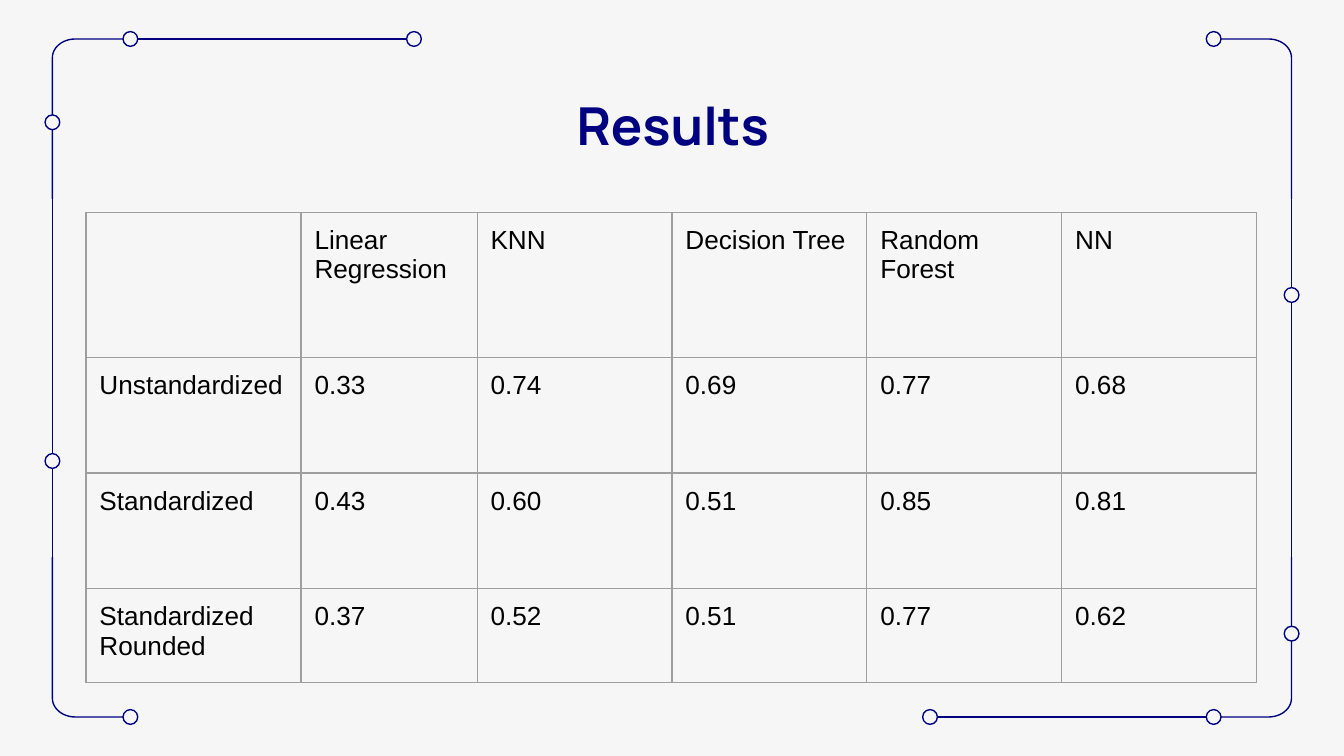
import math

import lxml.etree
import pptx
import pptx.dml.color
import pptx.enum.shapes
import pptx.enum.text
import pptx.oxml.ns
import pptx.util

# Content
TITLE = "Results"
TABLE = [
    ["", "Linear Regression", "KNN", "Decision Tree", "Random Forest", "NN"],
    ["Unstandardized", "0.33", "0.74", "0.69", "0.77", "0.68"],
    ["Standardized", "0.43", "0.60", "0.51", "0.85", "0.81"],
    ["Standardized Rounded", "0.37", "0.52", "0.51", "0.77", "0.62"],
]

# Layout in inches, on a 16:9 slide
WIDTH = 10
HEIGHT = WIDTH * 9 / 16
COLUMNS = [1.6, 1.31] + [1.45] * 4
ROWS = [1.08, 0.86, 0.86, 0.7]
TABLE_LEFT, TABLE_TOP = 0.64, 1.58
EDGE_X, EDGE_Y = 0.39, 0.29
CURVE_X, CURVE_Y = 0.17, 0.14
ARM_X, ARM_Y = 0.92, 1.48
NODE = 0.11

# Left half of the frame; the right half is the same, turned by 180 degrees
RAILS = [((EDGE_X, 1.43), (EDGE_X, 4.15)), ((1.02, EDGE_Y), (3.02, EDGE_Y))]
NODES = [(0.97, EDGE_Y), (3.08, EDGE_Y), (EDGE_X, 0.91), (EDGE_X, 3.43),
         (0.97, HEIGHT - EDGE_Y)]

COLORS = {"background": "F6F6F6", "navy": "000080", "text": "000000", "grid": "9E9E9E"}
Inches = pptx.util.Inches
Pt = pptx.util.Pt
qn = pptx.oxml.ns.qn


def color(name):
    return pptx.dml.color.RGBColor.from_string(COLORS[name])


def mirror(point, flip_x, flip_y):
    x, y = point
    return (WIDTH - x if flip_x else x, HEIGHT - y if flip_y else y)


def style_line(shape):
    shape.line.color.rgb = color("navy")
    shape.line.width = Pt(0.75)


def add_rail(page, start, end):
    rail = page.shapes.add_connector(
        pptx.enum.shapes.MSO_CONNECTOR.STRAIGHT, *map(Inches, start + end))
    style_line(rail)
    lxml.etree.SubElement(rail._element.spPr, qn("a:effectLst"))


def add_corner(page, flip_x, flip_y):
    angles = [math.radians(step * 7.5) for step in range(13)]
    curve = [(EDGE_X + CURVE_X * (1 - math.cos(angle)),
              EDGE_Y + CURVE_Y * (1 - math.sin(angle))) for angle in angles]
    outline = [(EDGE_X, ARM_Y)] + curve + [(ARM_X, EDGE_Y)]
    points = [tuple(map(Inches, mirror(point, flip_x, flip_y))) for point in outline]
    builder = page.shapes.build_freeform(*points[0])
    builder.add_line_segments(points[1:], close=False)
    corner = builder.convert_to_shape()
    corner.shadow.inherit = False
    corner.fill.background()
    style_line(corner)


def add_node(page, center):
    x, y = center
    node = page.shapes.add_shape(
        pptx.enum.shapes.MSO_SHAPE.OVAL, Inches(x - NODE / 2), Inches(y - NODE / 2),
        Inches(NODE), Inches(NODE))
    node.shadow.inherit = False
    node.fill.solid()
    node.fill.fore_color.rgb = color("background")
    style_line(node)


def add_borders(cell):
    properties = cell._tc.get_or_add_tcPr()
    for side in ("a:lnL", "a:lnR", "a:lnT", "a:lnB"):
        border = lxml.etree.SubElement(properties, qn(side), w=str(Pt(0.75)))
        fill = lxml.etree.SubElement(border, qn("a:solidFill"))
        lxml.etree.SubElement(fill, qn("a:srgbClr"), val=COLORS["grid"])


def set_margins(holder):
    for side in ("left", "right", "top", "bottom"):
        setattr(holder, f"margin_{side}", Inches(0.1))


def style_font(font, name, size, color_name, bold):
    font.name = name
    font.size = Pt(size)
    font.bold = bold
    font.color.rgb = color(color_name)


def add_frame(page):
    for turned in (False, True):
        for start, end in RAILS:
            add_rail(page, mirror(start, turned, turned), mirror(end, turned, turned))
        for flip_y in (False, True):
            add_corner(page, turned, flip_y)
        for center in NODES:
            add_node(page, mirror(center, turned, turned))


def add_title(page):
    title = page.shapes.title
    title.left, title.top = Inches(0.79), Inches(0.59)
    title.width, title.height = Inches(8.43), Inches(0.52)
    frame = title.text_frame
    frame.text = TITLE
    frame.word_wrap = True
    frame.auto_size = pptx.enum.text.MSO_AUTO_SIZE.NONE
    frame.vertical_anchor = pptx.enum.text.MSO_ANCHOR.TOP
    set_margins(frame)
    para = frame.paragraphs[0]
    para.alignment = pptx.enum.text.PP_ALIGN.CENTER
    style_font(para.runs[0].font, "Manrope", 28, "navy", True)


def add_results(page):
    table = page.shapes.add_table(
        len(ROWS), len(COLUMNS), Inches(TABLE_LEFT), Inches(TABLE_TOP),
        Inches(sum(COLUMNS)), Inches(sum(ROWS))).table
    table.first_row = table.horz_banding = False
    for column, width in zip(table.columns, COLUMNS):
        column.width = Inches(width)
    for row, height, texts in zip(table.rows, ROWS, TABLE):
        row.height = Inches(height)
        for cell, text in zip(row.cells, texts):
            cell.text = text
            set_margins(cell)
            add_borders(cell)
            cell.fill.background()
            for span in cell.text_frame.paragraphs[0].runs:
                style_font(span.font, "Arial", 14, "text", False)


def main():
    deck = pptx.Presentation()
    deck.slide_width, deck.slide_height = Inches(WIDTH), Inches(HEIGHT)
    page = deck.slides.add_slide(deck.slide_layouts[5])
    page.background.fill.solid()
    page.background.fill.fore_color.rgb = color("background")
    add_frame(page)
    add_title(page)
    add_results(page)
    deck.save("out.pptx")


if __name__ == "__main__":
    main()
